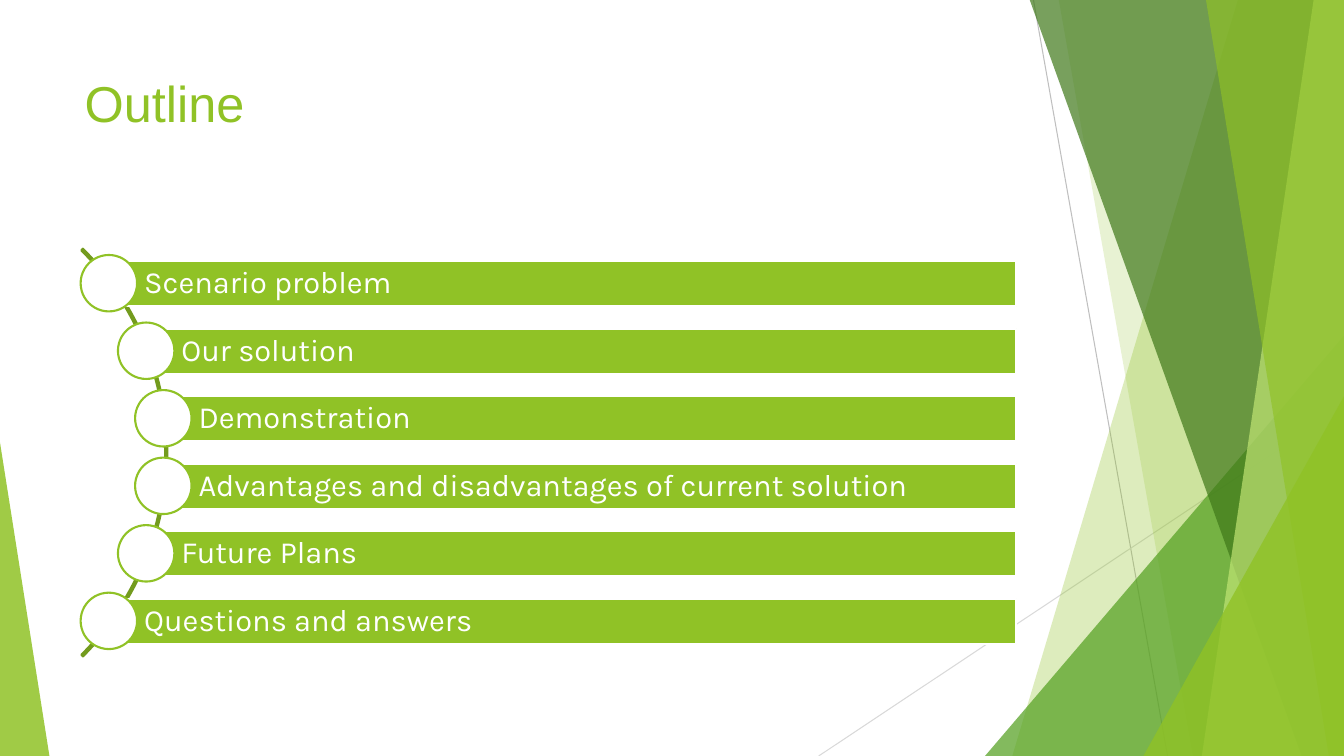
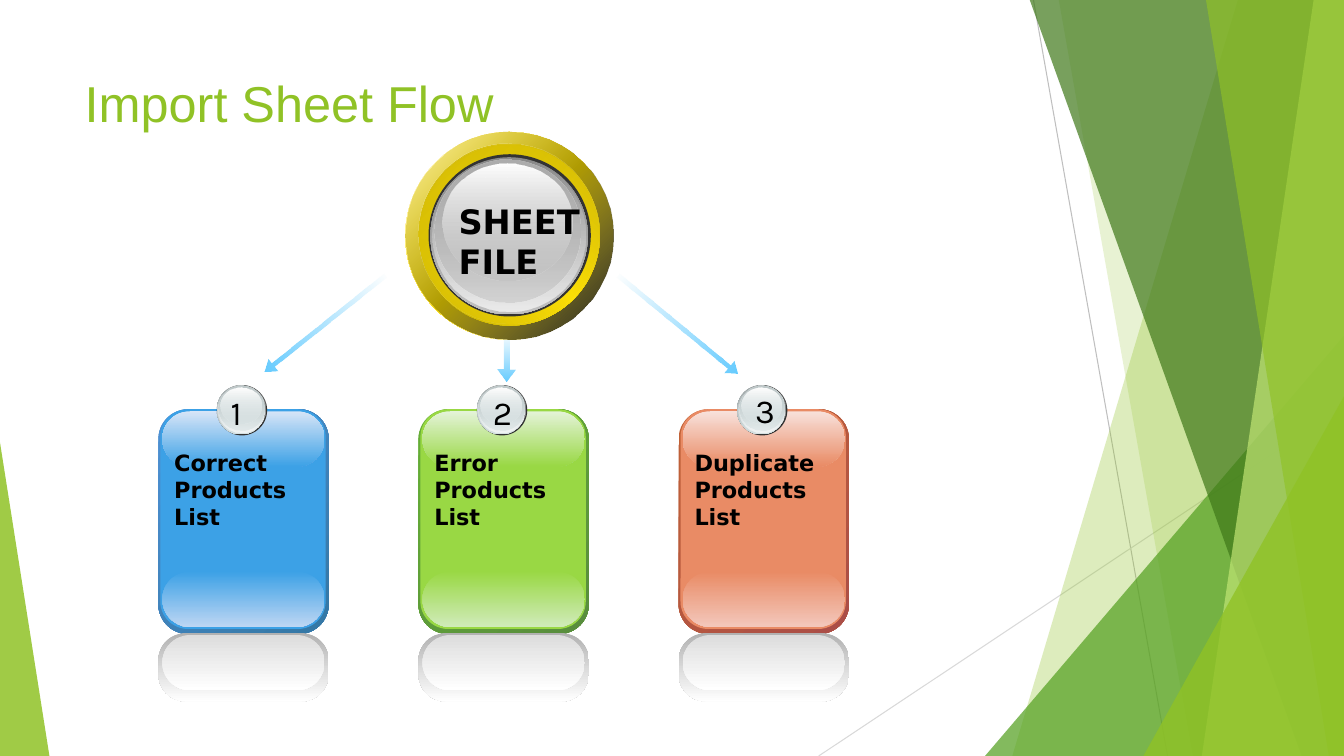
from pptx import Presentation
from pptx.dml.color import RGBColor
from pptx.enum.shapes import MSO_CONNECTOR, MSO_SHAPE as Preset
from pptx.enum.text import MSO_ANCHOR as Anchor, MSO_AUTO_SIZE as AutoSize, PP_ALIGN
from pptx.oxml import parse_xml
from pptx.oxml.ns import nsdecls, qn
from pptx.util import Pt

PX = 9144
GREEN, WHITE, BLACK, SKY = "90C226", "FFFFFF", "000000", "66CCFF"
rgb = RGBColor.from_string


def draw(slide, preset, place, *colours, angle=90, line=None, adjust=(), turn=0):
    if preset:
        shape = slide.shapes.add_shape(preset, *[v * PX for v in place])
    else:
        outline = slide.shapes.build_freeform(*place[0], scale=PX)
        outline.add_line_segments(place[1:])
        shape = outline.convert_to_shape()
    for i, value in enumerate(adjust):
        shape.adjustments[i] = value
    shape.rotation = turn
    shape.shadow.inherit = False
    shape.fill.background()
    if colours:
        tints = []
        for colour in colours:
            tone, _, alpha = colour.partition(":")
            tints.append(f'<a:srgbClr val="{tone}"><a:alpha val="{int(alpha or 100) * 1000}"/></a:srgbClr>')
        if len(tints) == 1:
            xml = f'<a:solidFill {nsdecls("a")}>{tints[0]}</a:solidFill>'
        else:
            step = 100000 // (len(tints) - 1)
            stops = "".join(f'<a:gs pos="{i * step}">{tint}</a:gs>' for i, tint in enumerate(tints))
            xml = (f'<a:gradFill {nsdecls("a")} rotWithShape="1"><a:gsLst>{stops}</a:gsLst>'
                   f'<a:lin ang="{angle * 60000}" scaled="0"/></a:gradFill>')
        properties = shape.element.spPr
        properties.replace(properties.find(qn("a:noFill")), parse_xml(xml))
    if line:
        shape.line.color.rgb = rgb(line)
        shape.line.width = Pt(1.5)
    else:
        shape.line.fill.background()
    return shape


def write(shape, text, *, font, size, colour=BLACK, bold=False, anchor=Anchor.TOP,
          wrap=True, insets=(10, 5, 10, 5), spacing=1.0):
    frame = shape.text_frame
    frame.word_wrap = wrap
    frame.auto_size = AutoSize.NONE
    frame.vertical_anchor = anchor
    frame.margin_left, frame.margin_top, frame.margin_right, frame.margin_bottom = [v * PX for v in insets]
    paragraph = frame.paragraphs[0]
    paragraph.alignment = PP_ALIGN.LEFT
    paragraph.line_spacing = spacing
    run = paragraph.add_run()
    run.text = text
    run.font.name, run.font.size, run.font.bold = font, Pt(size), bold
    run.font.color.rgb = rgb(colour)


prs = Presentation()
prs.slide_width, prs.slide_height = 1333 * PX, 750 * PX
layout = prs.slide_layouts[5]
for holder in list(layout.placeholders)[1:]:
    holder.element.getparent().remove(holder.element)
outline, flow = [prs.slides.add_slide(layout) for _ in range(2)]

for x1, y1, x2, y2, colour in [(1025, 0, 1158, 750, "BFBFBF"), (1333, 403, 812, 750, "D9D9D9")]:
    ray = outline.shapes.add_connector(MSO_CONNECTOR.STRAIGHT, x1 * PX, y1 * PX, x2 * PX, y2 * PX)
    ray.line.color.rgb = rgb(colour)
    ray.line.width = Pt(0.75)
    ray.element.spPr.append(parse_xml(f'<a:effectLst {nsdecls("a")}/>'))

for veil, colour in [
    ((1228, 1004), "90C226:30"),
    ((1050, 1183), "90C226:20"),
    ((977, 333, 356, 417, 1), "54A021:72"),
    ((1021, 1291), "3F7819:70"),
    ((1303, 1192), "C0E474:70"),
    ((1196, 1318), "90C226:65"),
    ((1134, 393, 199, 357, 1), "90C226:80"),
    ((0, 439, 49, 311, 0), "90C226:85"),
]:
    if len(veil) == 2:
        top, bottom = veil
        draw(outline, None, [(top, -1), (1333, -1), (1333, 750), (bottom, 750), (top, -1)], colour)
    else:
        draw(outline, Preset.ISOSCELES_TRIANGLE, veil[:4], colour, adjust=veil[4:])

for decoration in list(outline.shapes)[1:]:
    layout.shapes.element.append(decoration.element)

for slide, heading in [(outline, "Outline"), (flow, "Import Sheet Flow")]:
    title = slide.shapes.title
    title.left, title.top, title.width, title.height = [v * PX for v in (74, 67, 940, 144)]
    write(title, heading, font="Arial", size=36, colour=GREEN)

draw(outline, Preset.BLOCK_ARC, (-406, 163, 572, 572), line="739B1E", adjust=(189, 27, 0.004))
topics = [
    (108, "Scenario problem"),
    (145, "Our solution"),
    (162, "Demonstration"),
    (162, "Advantages and disadvantages of current solution"),
    (145, "Future Plans"),
    (108, "Questions and answers"),
]
for row, (left, topic) in enumerate(topics):
    top = 259 + 67 * row
    bar = draw(outline, Preset.RECTANGLE, (left, top, 1008 - left, 45), GREEN, line=WHITE)
    write(bar, topic, font="Karla", size=22, colour=WHITE, anchor=Anchor.MIDDLE,
          insets=(35, 6, 6, 6), spacing=0.9)
    draw(outline, Preset.OVAL, (left - 28, top - 6, 56, 56), WHITE, line=GREEN)

cards = [
    ("Correct Products List", "3CA1E6", ("4E91D4", "3477A4"), "D7E5F7", "BDD6F3", 62, 384),
    ("Error Products List", "99D844", ("66AF35", "588D3D"), "E4F3D8", "D0EBB9", 64, 384),
    ("Duplicate Products List", "E98B65", ("C16237", "AB4E47"), "F8E1DB", "F3C7BB", 66, 382),
]
badge = [
    ((58, 382, 50, 50), ("333333",)),
    ((58, 382, 48, 49), ("99A1A2", "D6E1E2")),
    ((59, 382, 47, 47), ("D6E1E2:0", "F2F5F5")),
    ((60, 383, 45, 44), ("C1CBCC", "D6E1E2:48")),
    ((62, 384, 40, 36), ("FFFFFF", "D6E1E2:38")),
]
for index, (label, face, rim, sheen, glow, digit_left, digit_top) in enumerate(cards):
    left = 157 + 258 * index
    for (x, *rest), corner, colours, angle in [
        ((0, 406, 169, 223), 0.175, rim, 45),
        ((2, 406, 164, 218), 0.167, (face,), 90),
        ((4, 567, 161, 55), 0.5, (face, glow), 90),
        ((4, 408, 161, 55), 0.5, (sheen, face), 90),
        ((0, 628, 169, 68), 0.404, ("B2B2B2", WHITE), 90),
        ((4, 630, 161, 55), 0.5, ("DDDDDD", WHITE), 90),
    ]:
        draw(flow, Preset.ROUNDED_RECTANGLE, (left + x, *rest), *colours, angle=angle, adjust=(corner,))
    for (x, *rest), colours in badge:
        draw(flow, Preset.OVAL, (left + x, *rest), *colours)
    digit = flow.shapes.add_textbox((left + digit_left) * PX, digit_top * PX, 28 * PX, 36 * PX)
    write(digit, str(index + 1), font="Karla", size=24, wrap=False)
    caption = flow.shapes.add_textbox((left + 6) * PX, 441 * PX, 160 * PX, 91 * PX)
    write(caption, label, font="DejaVu Sans", size=16, bold=True)

for place, turn in [((246, 313, 153, 16), 321.4), ((596, 314, 153, 16), 219.4), ((478, 345, 49, 18), 270)]:
    draw(flow, Preset.LEFT_ARROW, place, SKY, SKY + ":0", angle=0, adjust=(0.312, 0.715), turn=turn)

for left, top, width, height, colours, angle in [
    (402, 131, 206, 206, (WHITE, "FCDF06", WHITE), 45),
    (402, 131, 206, 206, ("FCDF06:32", "000000:90"), 45),
    (416, 144, 179, 179, ("C1AB05", "FCDF06", "C1AB05"), 315),
    (415, 142, 179, 179, ("CFB705", "FCDF06:0"), 45),
    (425, 153, 161, 161, ("333333",), 90),
    (427, 156, 156, 156, ("898989", "C0C0C0"), 90),
    (429, 157, 152, 152, ("C0C0C0:0", "EBEBEB"), 90),
    (431, 158, 145, 142, ("AEAEAE", "C0C0C0:48"), 90),
    (439, 162, 129, 116, (WHITE, "C0C0C0:38"), 90),
]:
    draw(flow, Preset.OVAL, (left, top, width, height), *colours, angle=angle)
source = flow.shapes.add_textbox(445 * PX, 194 * PX, 146 * PX, 91 * PX)
write(source, "SHEET FILE", font="DejaVu Sans", size=24, bold=True)

prs.save("out.pptx")
